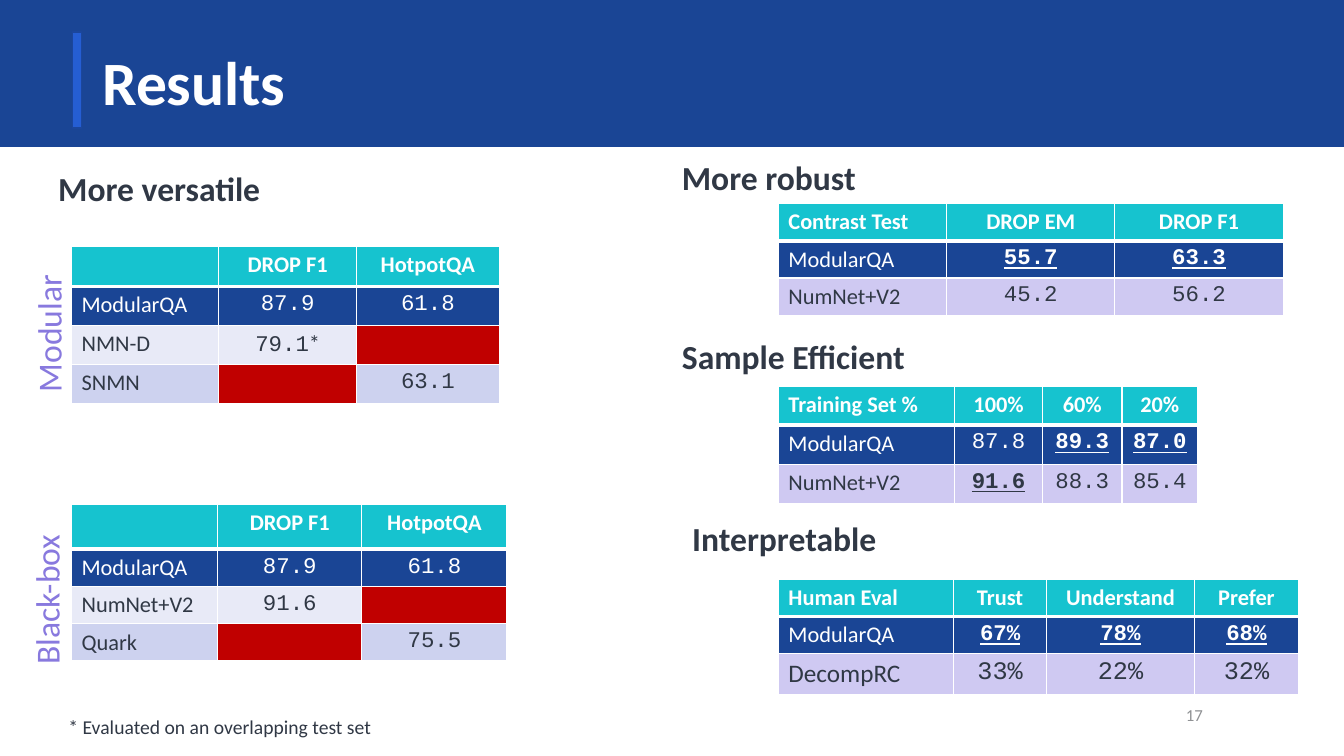
from lxml import etree
from pptx import Presentation
from pptx.dml.color import RGBColor
from pptx.enum.shapes import MSO_SHAPE
from pptx.enum.text import MSO_ANCHOR, PP_ALIGN
from pptx.oxml.ns import qn
from pptx.util import Pt

RECT = MSO_SHAPE.RECTANGLE
TOP, MIDDLE = MSO_ANCHOR.TOP, MSO_ANCHOR.MIDDLE
LEFT, CENTER, RIGHT = PP_ALIGN.LEFT, PP_ALIGN.CENTER, PP_ALIGN.RIGHT
SANS, MONO = "Calibri", "Courier New"
COLORS = {
    "white": "FFFFFF", "navy": "1A4595", "accent": "255ED3", "accent_line": "1B469C",
    "teal": "16C3CF", "ink": "303845", "lilac": "CFC9F2", "pale": "E8EAF7",
    "blue": "CDD2EF", "red": "C00000", "violet": "8879DE", "grey": "8F9194",
}
C = {name: RGBColor.from_string(value) for name, value in COLORS.items()}

prs = Presentation()
prs.slide_width, prs.slide_height = Pt(960), Pt(540)
s = prs.slides.add_slide(prs.slide_layouts[6])


def add_text(text, x, y, w, h, size, color, bold=False, align=LEFT, anchor=TOP, rotation=0):
    sp = s.shapes.add_textbox(Pt(x), Pt(y), Pt(w), Pt(h))
    sp.rotation = rotation
    tf = sp.text_frame
    tf.word_wrap = True
    tf.vertical_anchor = anchor
    p = tf.paragraphs[0]
    p.text = text
    p.alignment = align
    p.font.name, p.font.size, p.font.bold = SANS, Pt(size), bold
    p.font.color.rgb = C[color]
    return p


def add_border(cell, index, side, width):
    ln = etree.Element(qn("a:" + side), w=str(Pt(width)))
    fill = etree.SubElement(ln, qn("a:solidFill"))
    etree.SubElement(fill, qn("a:srgbClr"), val=COLORS["white"])
    cell._tc.get_or_add_tcPr().insert(index, ln)


# Title band
for x, y, w, h, fill, line in [
    (0, 0, 960, 104.4, "navy", "navy"),
    (52, 23, 6.2, 68.4, "accent", "accent_line"),
]:
    sp = s.shapes.add_shape(RECT, Pt(x), Pt(y), Pt(w), Pt(h))
    sp.shadow.inherit = False
    sp.fill.solid()
    sp.fill.fore_color.rgb = C[fill]
    sp.line.color.rgb = C[line]
    sp.line.width = Pt(1)
p = add_text("Results", 66, 23, 828, 75.6, 44, "white", True, anchor=MIDDLE)
p.line_spacing = 0.9

# Section headings
for text, x, y, w in [
    ("More versatile", 34.5, 116.6, 184.3),
    ("More robust", 480, 108.7, 184.3),
    ("Sample Efficient", 480, 236.2, 243.4),
    ("Interpretable", 487.4, 366.5, 184.3),
]:
    add_text(text, x, y, w, 36, 24, "ink", True)

# Vertical table labels
for text, x, y in [("Modular", -23.8, 211), ("Black-box", -25.2, 405.4)]:
    add_text(text, x, y, 116.6, 36, 24, "violet", rotation=270)

# Tables: left, top, column widths, row heights, body fills, best cells, large rows, values
# None in a body row marks a dataset that the system cannot handle
tables = [
    (51.1, 175.9, [105.1, 98.6, 101.8], [28.8, 27.8, 27.8, 27.8],
     ["navy", "pale", "blue"], [], [],
     [["", "DROP F1", "HotpotQA"],
      ["ModularQA", "87.9", "61.8"],
      ["NMN-D", "79.1*", None],
      ["SNMN", None, "63.1"]]),
    (51.1, 360.2, [104.4, 103, 103.7], [32.2, 26.6, 26.6, 26.6],
     ["navy", "pale", "blue"], [], [],
     [["", "DROP F1", "HotpotQA"],
      ["ModularQA", "87.9", "61.8"],
      ["NumNet+V2", "91.6", None],
      ["Quark", None, "75.5"]]),
    (556, 145.4, [120.2] * 3, [26.6] * 3,
     ["navy", "lilac"], [(1, 1), (1, 2)], [],
     [["Contrast Test", "DROP EM", "DROP F1"],
      ["ModularQA", "55.7", "63.3"],
      ["NumNet+V2", "45.2", "56.2"]]),
    (556, 275.8, [126, 62.6, 56.9, 54], [28] * 3,
     ["navy", "lilac"], [(1, 2), (1, 3), (2, 1)], [],
     [["Training Set %", "100%", "60%", "20%"],
      ["ModularQA", "87.8", "89.3", "87.0"],
      ["NumNet+V2", "91.6", "88.3", "85.4"]]),
    (556, 414, [125.3, 66.2, 105.8, 74.2], [26.4, 26.4, 29],
     ["navy", "lilac"], [(1, 1), (1, 2), (1, 3)], [2],
     [["Human Eval", "Trust", "Understand", "Prefer"],
      ["ModularQA", "67%", "78%", "68%"],
      ["DecompRC", "33%", "22%", "32%"]]),
]
for x, y, widths, heights, body_fills, best, large_rows, values in tables:
    frame = s.shapes.add_table(len(heights), len(widths), Pt(x), Pt(y),
                               Pt(sum(widths)), Pt(sum(heights)))
    table = frame.table
    for column, width in zip(table.columns, widths):
        column.width = Pt(width)
    for i, row_values in enumerate(values):
        table.rows[i].height = Pt(heights[i])
        for j, value in enumerate(row_values):
            cell = table.cell(i, j)
            cell.fill.solid()
            fill = "red" if value is None else (["teal"] + body_fills)[i]
            cell.fill.fore_color.rgb = C[fill]
            borders = [("lnL", 1), ("lnR", 1), ("lnT", 3 if i == 1 else 1),
                       ("lnB", 3 if i == 0 else 1)]
            for index, (side, width) in enumerate(borders):
                add_border(cell, index, side, width)
            p = cell.text_frame.paragraphs[0]
            p.alignment = CENTER if j else LEFT
            p.font.size = Pt(18 if i in large_rows else 16)
            p.font.bold = i == 0 or (i, j) in best
            p.font.underline = (i, j) in best
            p.font.color.rgb = C["white" if i < 2 else "ink"]
            number, star, _ = (value or "").partition("*")
            for text, font in [(number, MONO if i and j else SANS), (star, SANS)]:
                if text:
                    r = p.add_run()
                    r.text = text
                    r.font.name = font

# Footnote and slide number
p = add_text("* Evaluated on an overlapping test set", 41.8, 509, 465.8, 22.3, 14, "ink",
             anchor=MIDDLE)
p.line_spacing = 0.9
p.space_before = Pt(10)
add_text("17", 824.4, 496.1, 41.8, 28.8, 12, "grey", align=RIGHT, anchor=MIDDLE)

prs.save("out.pptx")
